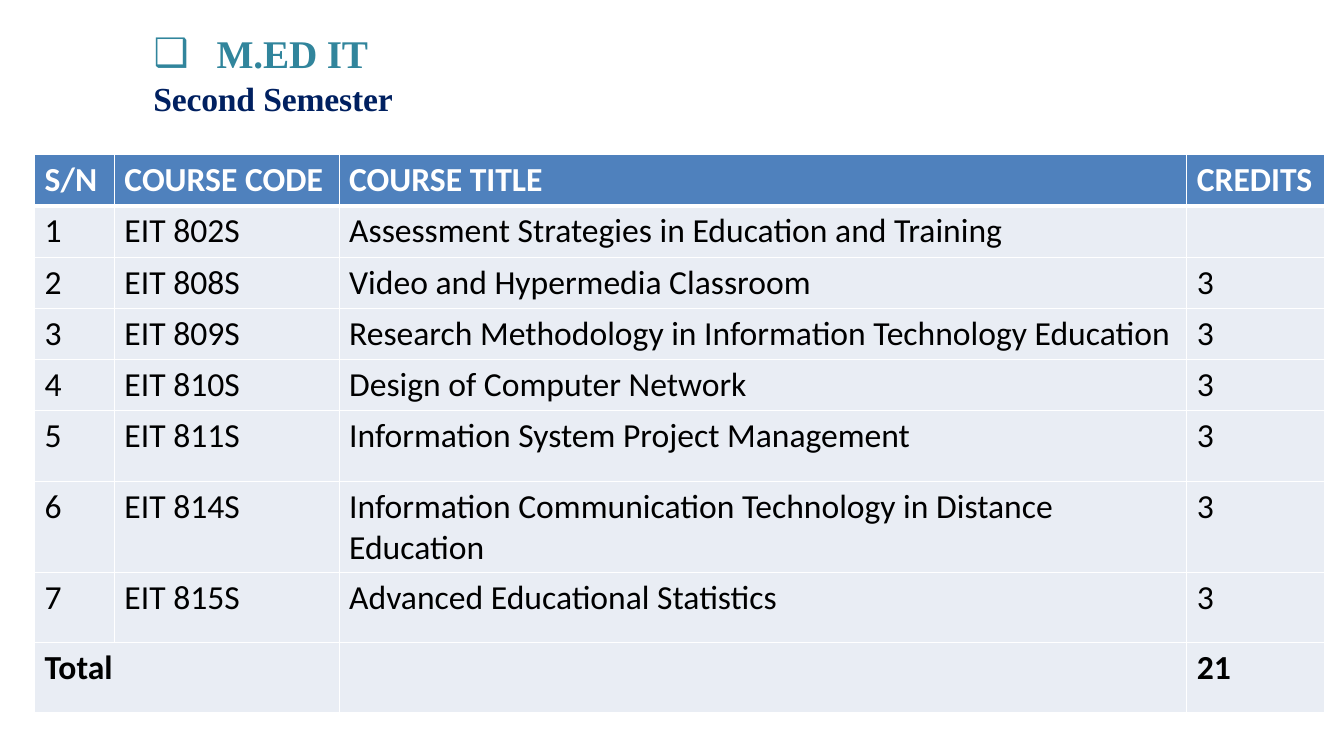
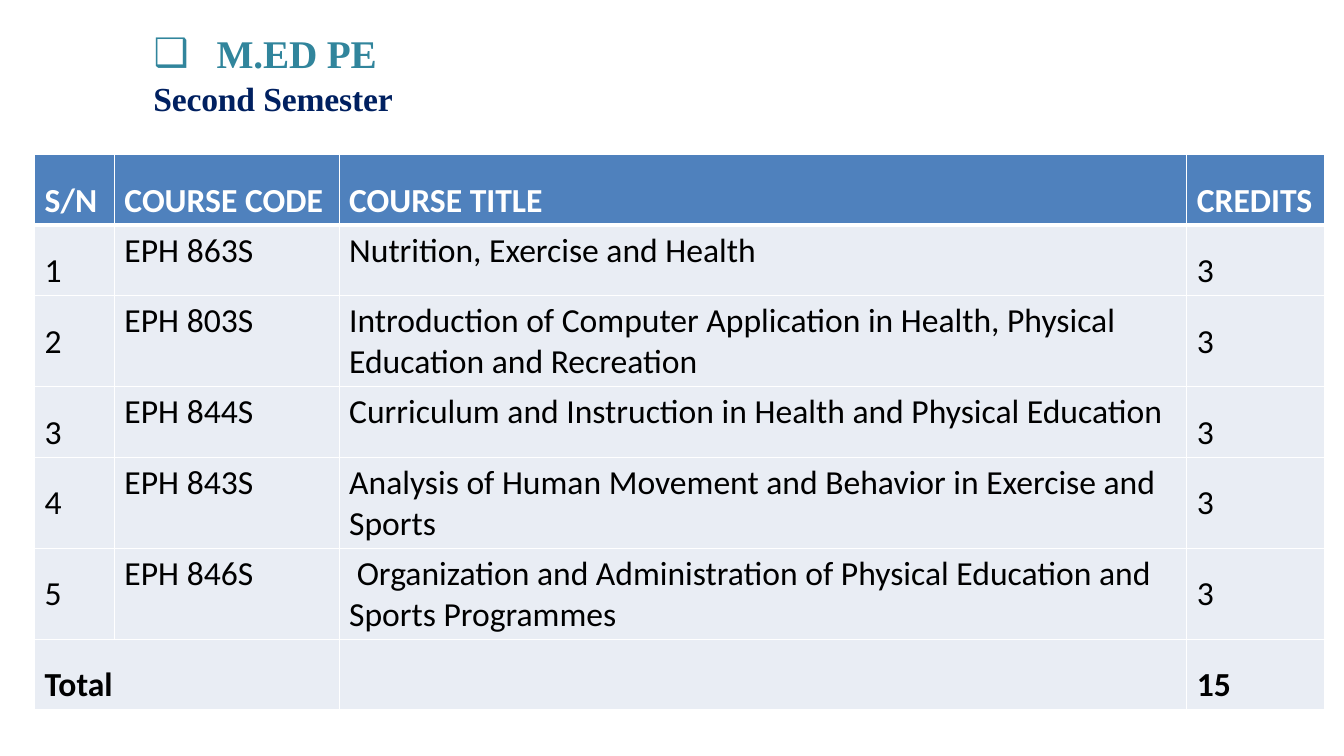
import pptx
import pptx.util
import pptx.dml.color
import pptx.enum.text
import pptx.oxml.ns
from lxml import etree

Pt = pptx.util.Pt
RGBColor = pptx.dml.color.RGBColor
ALIGN = pptx.enum.text.PP_ALIGN
qn = pptx.oxml.ns.qn

# Shared look
WHITE = RGBColor(0xFF, 0xFF, 0xFF)
BLACK = RGBColor(0x00, 0x00, 0x00)
HEADER_BLUE = RGBColor(0x4F, 0x81, 0xBD)
ROW_TINT = RGBColor(0xE9, 0xED, 0xF4)
TEAL = RGBColor(0x31, 0x85, 0x9C)
NAVY = RGBColor(0x00, 0x20, 0x60)
TABLE_FONT = "Calibri"
HEADING_FONT = "Times New Roman"

HEADERS = ("S/N", "COURSE CODE", "COURSE TITLE", "CREDITS")
COLUMN_WIDTHS = (57, 160.5, 605.5, 98.5)
TABLE_LEFT, TABLE_TOP = 24.75, 110.5
SHORT_ROW, TALL_ROW = 36.6, 50.3
THIN, THICK = 1, 3

# Course lists: code, title, credits
IT_COURSES = (
    ("EIT 802S", "Assessment Strategies in Education and Training", ""),
    ("EIT 808S", "Video and Hypermedia Classroom", "3"),
    ("EIT 809S", "Research Methodology in Information Technology Education", "3"),
    ("EIT 810S", "Design of Computer Network", "3"),
    ("EIT 811S", "Information System Project Management", "3"),
    ("EIT 814S", "Information Communication Technology in Distance Education", "3"),
    ("EIT 815S", "Advanced Educational Statistics", "3"),
)
PE_COURSES = (
    ("EPH 863S", "Nutrition, Exercise and Health", "3"),
    ("EPH 803S", "Introduction of Computer Application in Health, "
                 "Physical Education and Recreation", "3"),
    ("EPH 844S", "Curriculum and Instruction in Health and Physical Education", "3"),
    ("EPH 843S", "Analysis of Human Movement and Behavior in Exercise and Sports", "3"),
    ("EPH 846S", " Organization and Administration of Physical Education "
                 "and Sports Programmes", "3"),
)


def write_text(para, text, font=TABLE_FONT, size=24, color=BLACK, bold=False,
               align=None, line_spacing=None, space_before=None, tracking=None):
    """Add one formatted span to a paragraph."""
    if align is not None:
        para.alignment = align
    if line_spacing is not None:
        para.line_spacing = line_spacing
    if space_before is not None:
        para.space_before = Pt(space_before)
    span = para.add_run()
    span.text = text
    span.font.name = font
    span.font.size = Pt(size)
    span.font.bold = bold
    span.font.color.rgb = color
    if tracking is not None:
        span.font._element.set("spc", str(round(tracking * 100)))


def set_bullet(para, left, indent=0, char=None):
    """Set the indents, and a bullet character or none."""
    properties = para._p.get_or_add_pPr()
    properties.set("marL", str(Pt(left)))
    properties.set("indent", str(Pt(indent)))
    if char:
        etree.SubElement(properties, qn("a:buChar")).set("char", char)
    else:
        etree.SubElement(properties, qn("a:buNone"))


def style_cell(cell, fill, top=THIN, bottom=THIN):
    """Give a cell its white borders and its fill."""
    properties = cell._tc.get_or_add_tcPr()
    for side, width in (("L", THIN), ("R", THIN), ("T", top), ("B", bottom)):
        line = etree.SubElement(properties, qn(f"a:ln{side}"), w=str(Pt(width)))
        paint = etree.SubElement(line, qn("a:solidFill"))
        etree.SubElement(paint, qn("a:srgbClr"), val=str(WHITE))
    cell.fill.solid()
    cell.fill.fore_color.rgb = fill


def add_course_table(page, courses, total, row_heights, loose_spacing):
    numbered = [(str(number), *course) for number, course in enumerate(courses, 1)]
    rows = [HEADERS, *numbered, ("Total", "", "", total)]
    last = len(rows) - 1
    frame = page.shapes.add_table(
        len(rows), len(HEADERS), Pt(TABLE_LEFT), Pt(TABLE_TOP),
        Pt(sum(COLUMN_WIDTHS)), Pt(sum(row_heights)))
    table = frame.table
    for column, width in zip(table.columns, COLUMN_WIDTHS):
        column.width = Pt(width)
    for row, height in zip(table.rows, row_heights):
        row.height = Pt(height)

    for r, row in enumerate(rows):
        header = r == 0
        for c, text in enumerate(row):
            cell = table.cell(r, c)
            style_cell(cell, HEADER_BLUE if header else ROW_TINT,
                       top=THICK if r == 1 else THIN,
                       bottom=THICK if header else THIN)
            if text:
                # Codes and titles keep single spacing
                single = 0 < r < last and c in (1, 2)
                write_text(cell.text_frame.paragraphs[0], text,
                           color=WHITE if header else BLACK,
                           bold=r in (0, last),
                           line_spacing=None if single else loose_spacing)
    table.cell(last, 0).merge(table.cell(last, 1))


def fill_heading(box, programme):
    box.left, box.top, box.width, box.height = Pt(54), Pt(10.8), Pt(852), Pt(74)
    frame = box.text_frame
    frame.margin_left = frame.margin_right = frame.margin_bottom = 0
    frame.margin_top = Pt(10)
    frame.auto_size = pptx.enum.text.MSO_AUTO_SIZE.SHAPE_TO_FIT_TEXT
    para = frame.paragraphs[0]
    write_text(para, programme, font=HEADING_FONT, size=28, color=TEAL, bold=True,
               space_before=1.4, tracking=-0.1)
    set_bullet(para, 100.8, -45, "❑")
    para = frame.add_paragraph()
    write_text(para, "Second Semester", font=HEADING_FONT, color=NAVY, bold=True,
               align=ALIGN.JUSTIFY, space_before=1.4, tracking=-0.1)
    set_bullet(para, 55.5)


def add_programme_page(deck, programme, courses, total, row_heights, loose_spacing=None):
    page = deck.slides.add_slide(deck.slide_layouts[1])
    title = page.shapes.title
    title._element.getparent().remove(title._element)
    fill_heading(page.placeholders[1], programme)
    add_course_table(page, courses, total, row_heights, loose_spacing)


def main():
    deck = pptx.Presentation()
    deck.slide_width, deck.slide_height = Pt(960), Pt(540)
    add_programme_page(deck, "M.ED IT", IT_COURSES, "21",
                       [SHORT_ROW] * 5 + [TALL_ROW, 65, TALL_ROW, TALL_ROW])
    add_programme_page(deck, "M.ED PE", PE_COURSES, "15",
                       [TALL_ROW, TALL_ROW, 65, TALL_ROW, 65, 65, TALL_ROW],
                       loose_spacing=1.5)
    deck.save("out.pptx")


if __name__ == "__main__":
    main()
